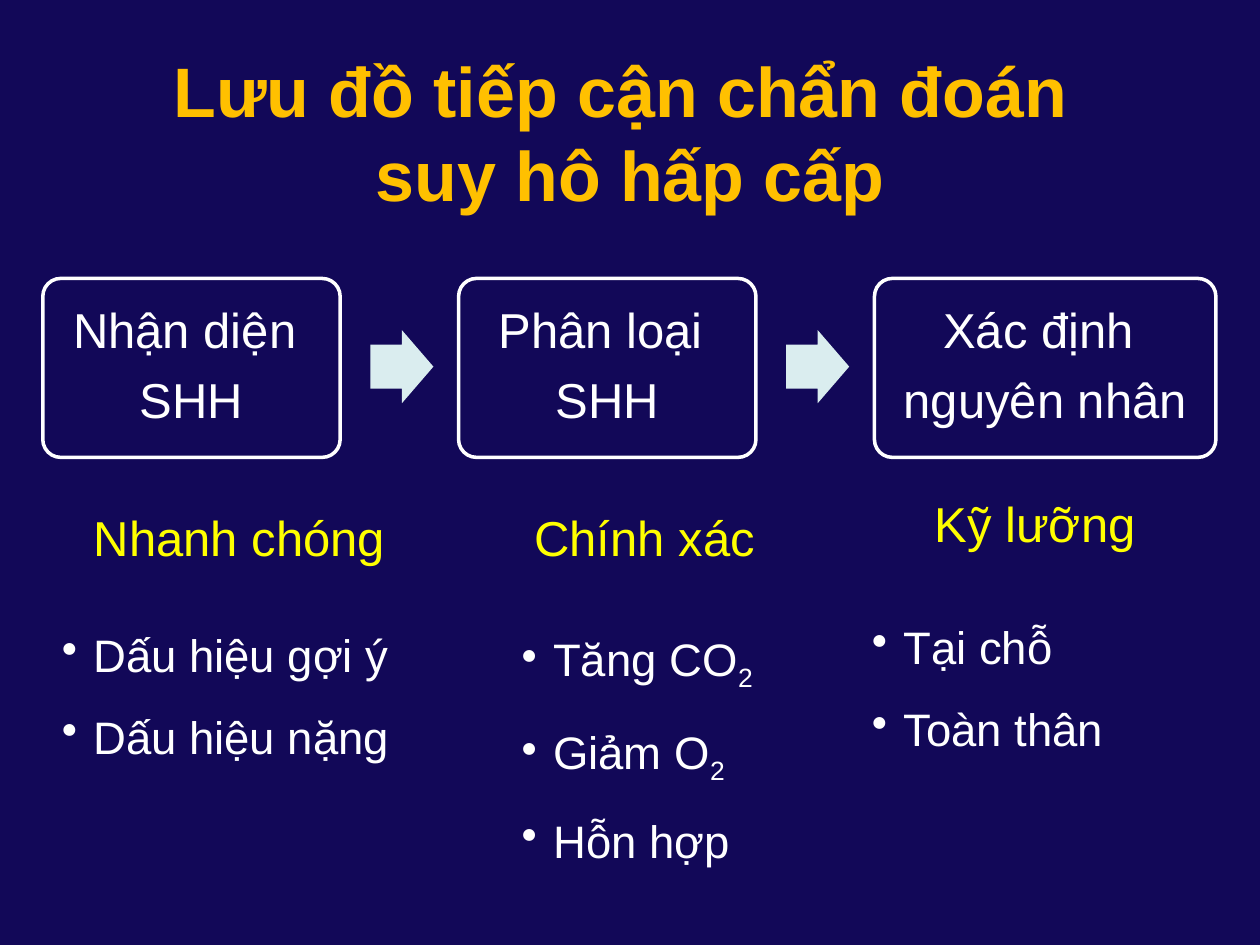
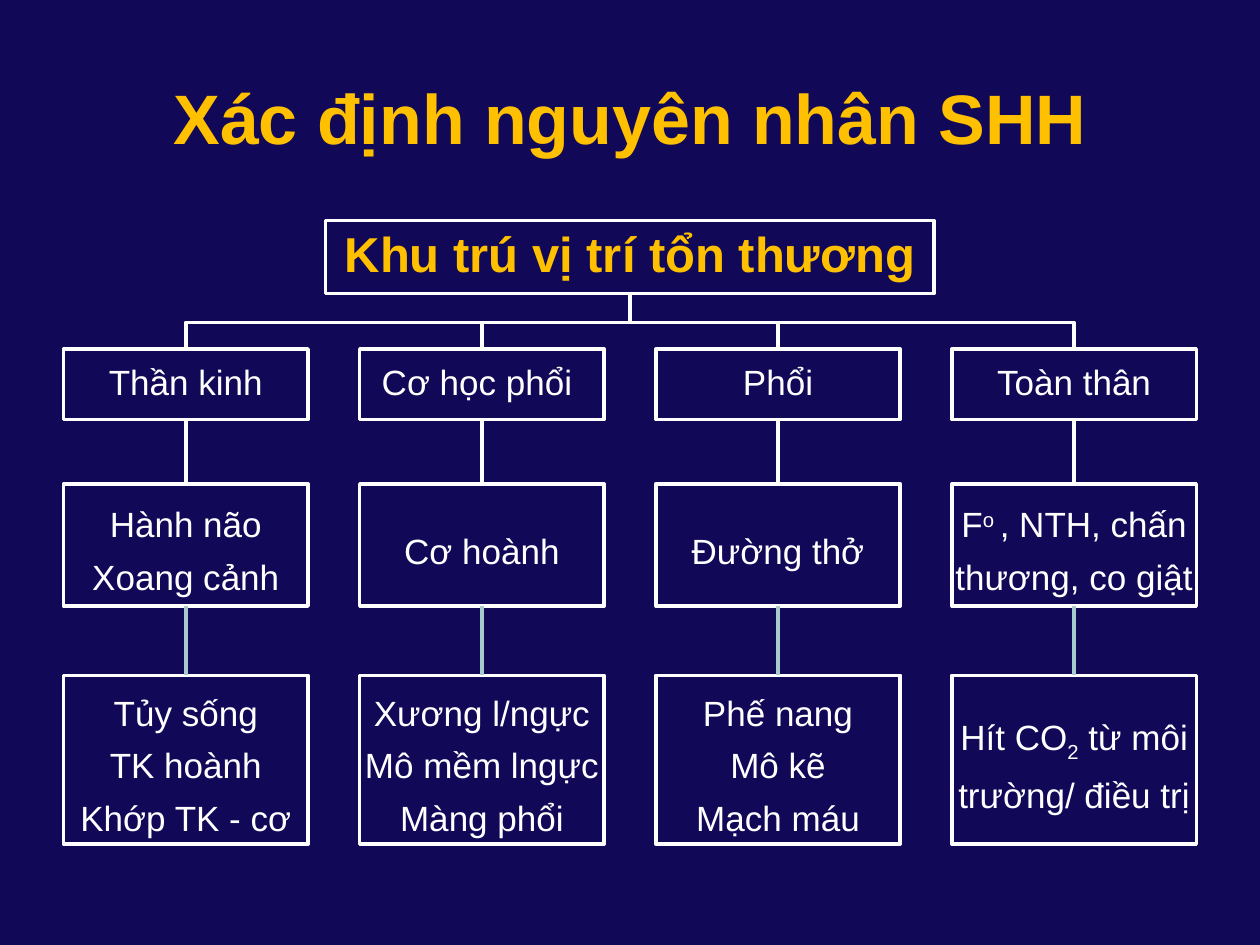
from lxml import etree
from pptx import Presentation
from pptx.dml.color import RGBColor
from pptx.enum import shapes as kinds, text as txt
from pptx.oxml.ns import qn
from pptx.util import Inches, Pt

HUE = {"back": "120858", "gold": "FFC000", "white": "FFFFFF",
       "yellow": "FFFF00", "ice": "DAEDEF", "teal": "AACBCE"}
FONT = "Arial"
KIND = kinds.MSO_SHAPE
SUB, SUP = -25000, 30000

# Paragraph styles: size, hue, line spacing and what differs from the defaults
TITLE = dict(size=40, hue="gold", bold=True)
STEP = dict(size=28, hue="white", lead=0.9, after=35)
PACE = dict(STEP, hue="yellow")
ROOT = dict(STEP, hue="gold", bold=True)
HEAD = dict(STEP, size=20)
LEAF = dict(size=20, hue="white", lead=1.25)
LIST = dict(size=26, hue="white", lead=1.5, bullet=True)


def color(name):
    return RGBColor.from_string(HUE[name])


def format_para(para, style):
    """Set alignment, spacing and bullet of a paragraph."""
    para.alignment = txt.PP_ALIGN.LEFT if "bullet" in style else txt.PP_ALIGN.CENTER
    if "lead" in style:
        para.line_spacing = style["lead"]
    props = para._p.get_or_add_pPr()
    if "after" in style:
        para.space_after = Pt(0)
        after = props.find(qn("a:spcAft"))
        after.remove(after[0])
        etree.SubElement(after, qn("a:spcPct")).set("val", str(style["after"] * 1000))
    if "bullet" in style:
        props.set("marL", str(Inches(0.25)))
        props.set("indent", str(-Inches(0.25)))
        etree.SubElement(props, qn("a:buChar")).set("char", "•")


def add_run(para, part, style):
    """Add a string, or a (string, baseline shift) pair."""
    words, shift = part if isinstance(part, tuple) else (part, 0)
    run = para.add_run()
    run.text = words
    looks = dict(name=FONT, size=Pt(style["size"]), bold=style.get("bold", False))
    for key, value in looks.items():
        setattr(run.font, key, value)
    run.font.color.rgb = color(style["hue"])
    if shift:
        run._r.get_or_add_rPr().set("baseline", str(shift))


def write(shape, paras, style, pads, anchor=txt.MSO_ANCHOR.MIDDLE):
    """Fill a shape with paragraphs, each a string or a list of runs."""
    frame = shape.text_frame
    frame.word_wrap = True
    frame.vertical_anchor = anchor
    for side, pad in zip(("left", "top", "right", "bottom"), pads):
        setattr(frame, "margin_" + side, Inches(pad))
    for i, parts in enumerate(paras):
        para = frame.add_paragraph() if i else frame.paragraphs[0]
        format_para(para, style)
        for part in [parts] if isinstance(parts, str) else parts:
            add_run(para, part, style)


def add_label(slide, box, paras, style, pads, **more):
    label = slide.shapes.add_textbox(*map(Inches, box))
    write(label, paras, style, pads, **more)


def add_shape(slide, kind, box, adjust=(), fill=None):
    """Add a filled shape, or a hollow one with a white outline."""
    shape = slide.shapes.add_shape(kind, *map(Inches, box))
    shape.shadow.inherit = False
    for i, value in enumerate(adjust):
        shape.adjustments[i] = value
    if fill:
        shape.fill.solid()
        shape.fill.fore_color.rgb = color(fill)
        shape.line.fill.background()
    else:
        shape.fill.background()
        set_line(shape)
    return shape


def set_line(shape, hue="white"):
    shape.line.color.rgb = color(hue)
    shape.line.width = Pt(2)


def add_slide(deck, top, lines):
    """Start a slide with its background and title."""
    slide = deck.slides.add_slide(deck.slide_layouts[6])
    slide.background.fill.solid()
    slide.background.fill.fore_color.rgb = color("back")
    box = slide.shapes.add_textbox(*map(Inches, (0.5, top, 9, 1.25)))
    write(box, lines[:1], TITLE, (0.1, 0.05, 0.1, 0.05))
    para = box.text_frame.paragraphs[0]
    for line in lines[1:]:
        para.add_line_break()
        add_run(para, line, TITLE)
    return slide


def add_steps(slide, left, top, steps):
    """Rounded boxes in a row with an arrow in each gap."""
    pitch, high = 3.3, 1.42
    for i, (wide, lines) in enumerate(steps):
        x = left + i * pitch
        if i:
            add_shape(slide, KIND.RIGHT_ARROW, (x - 0.7, top + 0.41, 0.5, 0.58),
                      (0.6, 0.5), "ice")
        step = add_shape(slide, KIND.ROUNDED_RECTANGLE, (x, top, wide, high), (0.1,))
        write(step, lines, STEP, [0.12] * 4)


def add_detail(slide, pace_box, pace, list_box, items):
    """A yellow heading with a bullet list below it."""
    add_label(slide, pace_box, [pace], PACE, (0.22, 0.12, 0.22, 0.12))
    add_label(slide, list_box, items, LIST, (0.15, 0.15, 0.2, 0.23),
              anchor=txt.MSO_ANCHOR.TOP)


def add_branch(slide, start, end, bend):
    """Bent line that leaves start downwards and turns at height bend."""
    (x1, y1), (x2, y2) = start, end
    points = [(x1, bend), (x2, bend), (x2, y2)]
    path = slide.shapes.build_freeform(Inches(x1), Inches(y1))
    path.add_line_segments([tuple(map(Inches, p)) for p in points], close=False)
    line = path.convert_to_shape()
    line.shadow.inherit = False
    line.fill.background()
    set_line(line)


def add_link(slide, upper, lower, hue):
    """Straight line from the bottom of one box to the top of the next."""
    link = slide.shapes.add_connector(kinds.MSO_CONNECTOR.STRAIGHT, 0, 0, 0, 0)
    link.begin_connect(upper, 2)
    link.end_connect(lower, 0)
    set_line(link, hue)
    etree.SubElement(link._element.spPr, qn("a:effectLst"))


def add_tree(slide, mid, top, root, stems):
    """A root box over columns of linked boxes, centred on mid."""
    wide, pitch, root_high = 1.94, 2.35, 0.58
    rows = [(1.02, 0.56, HEAD), (2.09, 0.97, LEAF), (3.61, 1.34, LEAF)]
    hub = (mid, top + root_high)
    for i, stem in enumerate(stems):
        x = mid + (i - (len(stems) - 1) / 2) * pitch
        add_branch(slide, hub, (x, top + rows[0][0]), top + 0.81)
        cells = []
        for (drop, high, style), lines in zip(rows, stem):
            cell = add_shape(slide, KIND.RECTANGLE, (x - wide / 2, top + drop, wide, high))
            write(cell, lines, style, [0.01] * 4)
            cells.append(cell)
        for upper, lower, hue in zip(cells, cells[1:], ("white", "teal")):
            add_link(slide, upper, lower, hue)
    box = add_shape(slide, KIND.RECTANGLE, (mid - 4.83 / 2, top, 4.83, root_high))
    write(box, [root], ROOT, [0.02] * 4)


def draw_flow(deck):
    slide = add_slide(deck, 0.42, ["Lưu đồ tiếp cận chẩn đoán ", "suy hô hấp cấp"])
    add_steps(slide, 0.34, 2.21, [
        (2.36, ["Nhận diện ", "SHH"]),
        (2.36, ["Phân loại ", "SHH"]),
        (2.71, ["Xác định ", "nguyên nhân"])])
    add_detail(slide, (0.47, 3.96, 2.86, 0.66), "Nhanh chóng",
               (0.34, 4.61, 3.11, 2.18), ["Dấu hiệu gợi ý", "Dấu hiệu nặng"])
    add_detail(slide, (3.82, 3.96, 2.59, 0.66), "Chính xác",
               (3.99, 4.61, 2.59, 2.18),
               [["Tăng CO", ("2", SUB)], ["Giảm O", ("2", SUB)], "Hỗn hợp"])
    add_detail(slide, (6.92, 3.85, 2.59, 0.66), "Kỹ lưỡng",
               (6.77, 4.55, 2.88, 2.03), ["Tại chỗ", "Toàn thân"])


def draw_causes(deck):
    slide = add_slide(deck, 0.3, ["Xác định nguyên nhân SHH"])
    add_tree(slide, 5, 1.75, "Khu trú vị trí tổn thương", [
        (["Thần kinh"], ["Hành não", "Xoang cảnh"],
         ["Tủy sống", "TK hoành", "Khớp TK - cơ"]),
        (["Cơ học phổi "], ["Cơ hoành"],
         ["Xương l/ngực", "Mô mềm lngực", "Màng phổi"]),
        (["Phổi"], ["Đường thở"],
         ["Phế nang", "Mô kẽ", "Mạch máu"]),
        (["Toàn thân"], [["F", ("o ", SUP), ", NTH, chấn thương, co giật"]],
         [["Hít CO", ("2", SUB), " từ môi trường/ điều trị"]])])


def main():
    deck = Presentation()
    deck.slide_width, deck.slide_height = Inches(10), Inches(7.5)
    draw_flow(deck)
    draw_causes(deck)
    deck.save("out.pptx")


if __name__ == "__main__":
    main()
